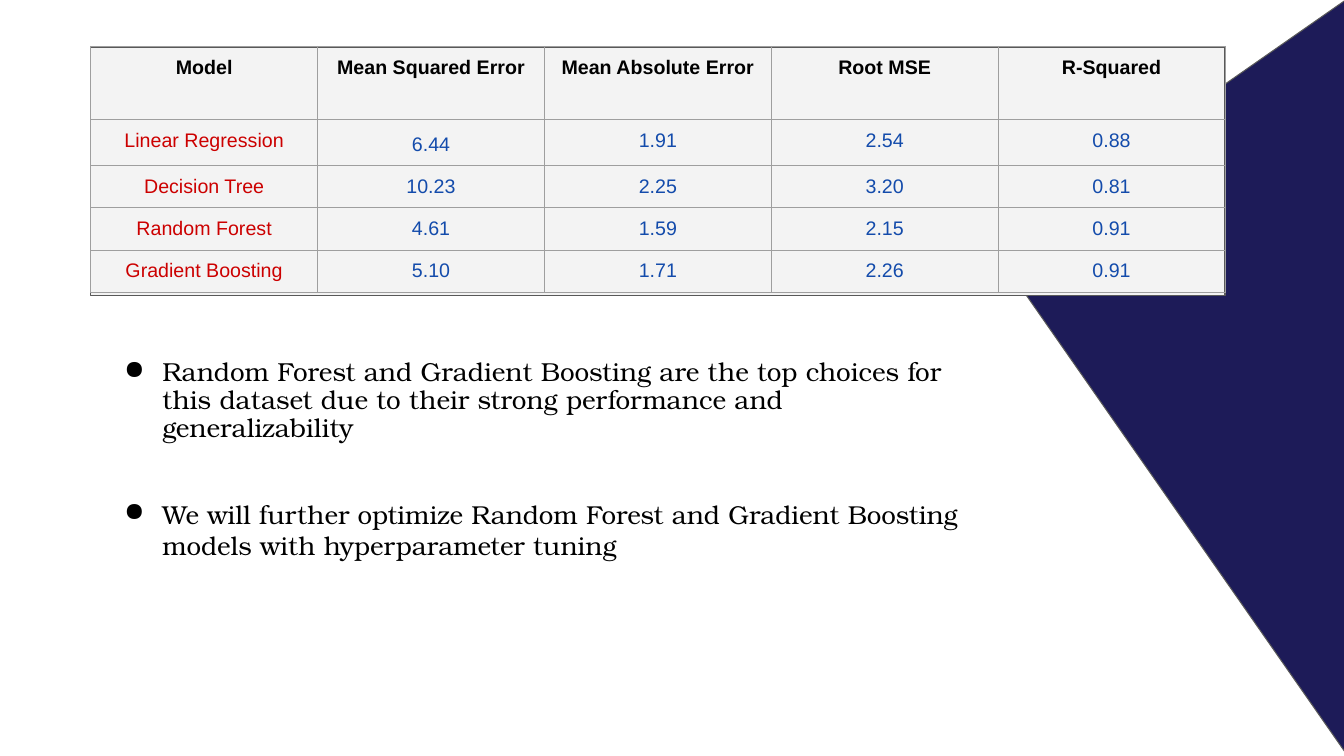
from dataclasses import dataclass

from lxml import etree
from pptx import Presentation
from pptx.dml.color import RGBColor
from pptx.enum.shapes import MSO_SHAPE
from pptx.enum.text import MSO_ANCHOR, PP_ALIGN
from pptx.oxml.ns import qn
from pptx.util import Inches, Pt

STRIPE = MSO_SHAPE.DIAGONAL_STRIPE
RECT = MSO_SHAPE.RECTANGLE
CENTER = PP_ALIGN.CENTER
MIDDLE = MSO_ANCHOR.MIDDLE


@dataclass(frozen=True)
class Theme:
    navy: str = "1D1B58"
    panel: str = "F3F3F3"
    outline: str = "595959"
    grid: str = "9E9E9E"
    black: str = "000000"
    model: str = "CC0000"
    score: str = "134BAB"
    table_font: str = "Arial"
    body_font: str = "TeX Gyre Bonum"
    table_size: float = 14
    line_width: float = 0.75


@dataclass(frozen=True)
class Panel:
    kind: int
    box: tuple[float, float, float, float]
    fill: str
    rotation: float = 0
    adjustments: tuple[float, ...] = ()


@dataclass(frozen=True)
class Bullet:
    top: float
    text: str
    size: float
    line_spacing: float


THEME = Theme()

PANELS = [
    Panel(STRIPE, (11.22, 0.67, 4.27, 6.16), THEME.navy, 325.1, (0.053,)),
    Panel(RECT, (0.9, 0.47, 11.25, 2.46), THEME.panel),
]

HEADERS = ["Model", "Mean Squared Error", "Mean Absolute Error", "Root MSE", "R-Squared"]
RESULTS = [
    ["Linear Regression", "6.44", "1.91", "2.54", "0.88"],
    ["Decision Tree", "10.23", "2.25", "3.20", "0.81"],
    ["Random Forest", "4.61", "1.59", "2.15", "0.91"],
    ["Gradient Boosting", "5.10", "1.71", "2.26", "0.91"],
]
COL_WIDTH, HEADER_HEIGHT, ROW_HEIGHT = 2.25, 0.73, 0.42

BULLETS = [
    Bullet(3.54, "Random Forest and Gradient Boosting are the top choices for this dataset "
                 "due to their strong performance and generalizability", 18.6, 0.9),
    Bullet(4.81, "We will further optimize Random Forest and Gradient Boosting models "
                 "with hyperparameter tuning", 18.5, 1.0),
]


def set_attrs(target, values: dict) -> None:
    for name, value in values.items():
        setattr(target, name, value)


def set_font(font, name: str, size: float, color: str, bold: bool = False) -> None:
    set_attrs(font, {"name": name, "size": Pt(size), "bold": bold})
    font.color.rgb = RGBColor.from_string(color)


def set_margins(target, inset: float) -> None:
    sides = ("left", "right", "top", "bottom")
    set_attrs(target, {f"margin_{side}": Inches(inset) for side in sides})


def add_color(parent, tag: str, color: str) -> None:
    holder = etree.SubElement(parent, qn(tag))
    etree.SubElement(holder, qn("a:srgbClr"), val=color)


def add_panel(slide, panel: Panel) -> None:
    s = slide.shapes.add_shape(panel.kind, *map(Inches, panel.box))
    s.shadow.inherit = False
    s.rotation = panel.rotation
    for i, value in enumerate(panel.adjustments):
        s.adjustments[i] = value
    s.fill.solid()
    s.fill.fore_color.rgb = RGBColor.from_string(panel.fill)
    s.line.color.rgb = RGBColor.from_string(THEME.outline)
    s.line.width = Pt(THEME.line_width)


def fill_cell(cell, text: str, color: str, bold: bool) -> None:
    tc_pr = cell._tc.get_or_add_tcPr()
    for tag in ("a:lnL", "a:lnR", "a:lnT", "a:lnB"):
        border = etree.SubElement(tc_pr, qn(tag), w=str(Pt(THEME.line_width)))
        add_color(border, "a:solidFill", THEME.grid)
    cell.fill.background()
    set_margins(cell, 0.1)
    p = cell.text_frame.paragraphs[0]
    p.alignment = CENTER
    r = p.add_run()
    r.text = text
    set_font(r.font, THEME.table_font, THEME.table_size, color, bold)


def add_results_table(slide) -> None:
    rows = [HEADERS, *RESULTS]
    height = HEADER_HEIGHT + ROW_HEIGHT * len(RESULTS)
    frame = slide.shapes.add_table(
        len(rows), len(HEADERS), Inches(0.9), Inches(0.46),
        Inches(COL_WIDTH * len(HEADERS)), Inches(height))
    table = frame.table
    set_attrs(table, {"first_row": False, "horz_banding": False})
    for column in table.columns:
        column.width = Inches(COL_WIDTH)
    for i, values in enumerate(rows):
        table.rows[i].height = Inches(ROW_HEIGHT if i else HEADER_HEIGHT)
        for j, text in enumerate(values):
            color = THEME.black if i == 0 else THEME.score if j else THEME.model
            fill_cell(table.cell(i, j), text, color, bold=i == 0)
    # The first score sits slightly lower than its row
    table.cell(1, 1).text_frame.paragraphs[0].line_spacing = 1.15


def add_bullet(slide, bullet: Bullet) -> None:
    s = slide.shapes.add_textbox(Inches(0.98), Inches(bullet.top), Inches(8.75), Inches(0.88))
    tf = s.text_frame
    set_attrs(tf, {"word_wrap": True, "vertical_anchor": MIDDLE})
    set_margins(tf, 0.13)
    p = tf.paragraphs[0]
    p_pr = p._p.get_or_add_pPr()
    p_pr.set("marL", str(Inches(0.5)))
    p_pr.set("indent", str(Inches(-0.38)))
    add_color(p_pr, "a:buClr", THEME.black)
    etree.SubElement(p_pr, qn("a:buChar"), char="●")
    p.line_spacing = bullet.line_spacing
    r = p.add_run()
    r.text = bullet.text
    set_font(r.font, THEME.body_font, bullet.size, THEME.black)


def main() -> None:
    prs = Presentation()
    set_attrs(prs, {"slide_width": Inches(13.33), "slide_height": Inches(7.5)})
    slide = prs.slides.add_slide(prs.slide_layouts[6])

    # Background stripe and table panel
    for panel in PANELS:
        add_panel(slide, panel)

    # Model scores
    add_results_table(slide)

    # Conclusions
    for bullet in BULLETS:
        add_bullet(slide, bullet)

    prs.save("out.pptx")


if __name__ == "__main__":
    main()
